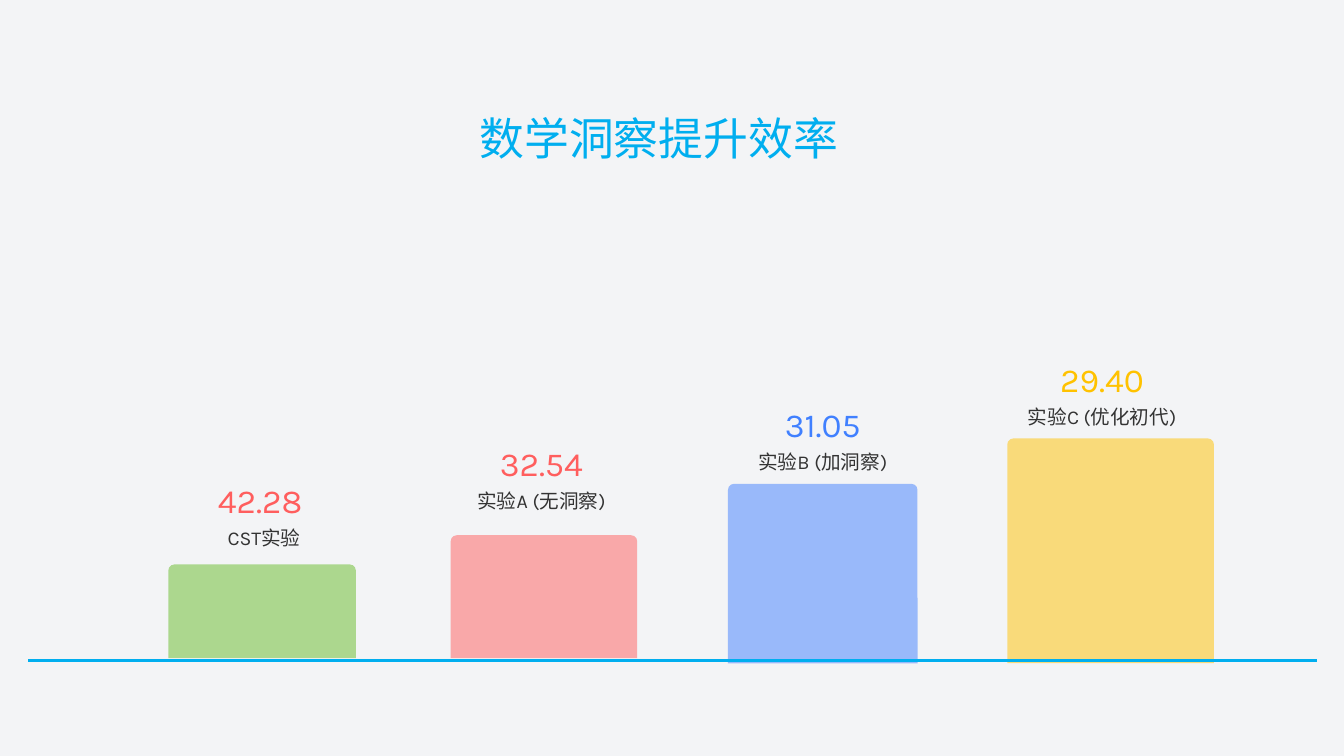
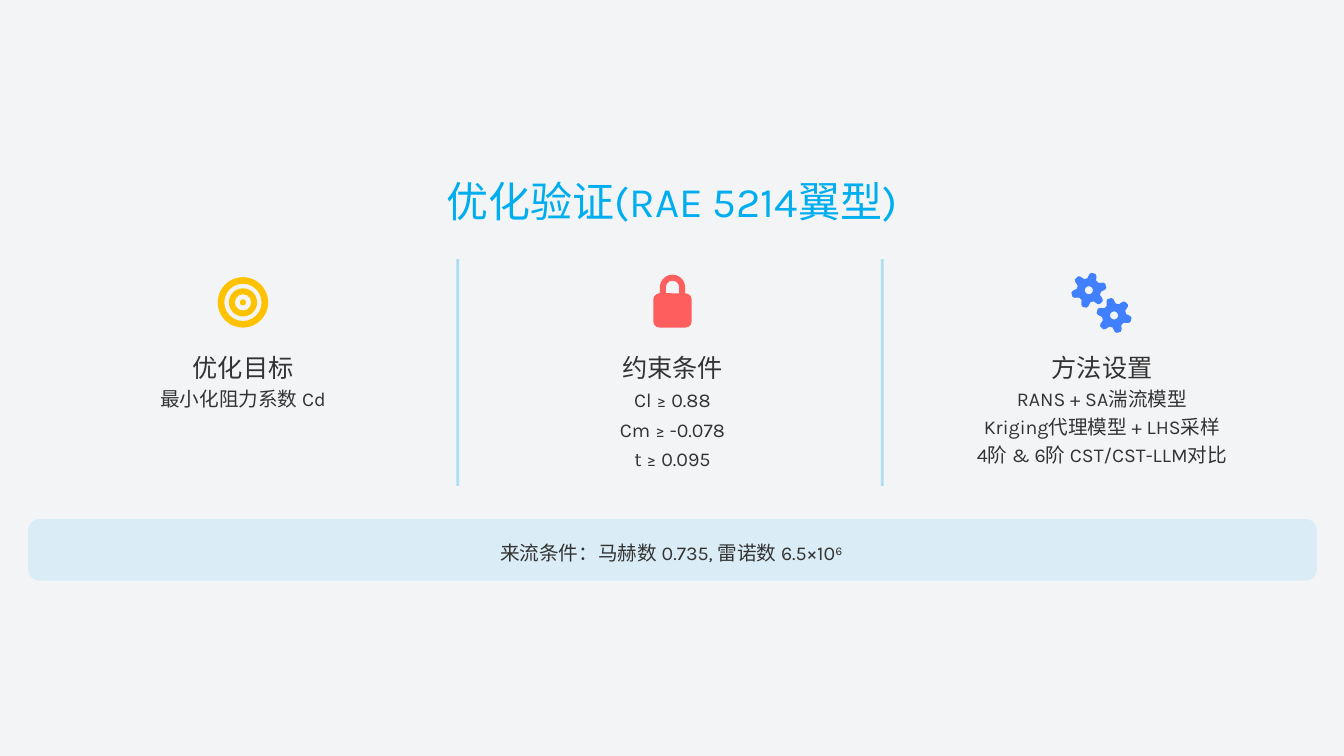
from dataclasses import dataclass
from math import cos, radians, sin
from typing import Callable, NamedTuple

from lxml import etree
from pptx import Presentation
from pptx import util as u
from pptx.dml.color import RGBColor
from pptx.enum import shapes, text
from pptx.oxml import ns

# Shared style: 100 px to the inch
EMU_PER_PX = 9144
SLIDE_WIDTH, SLIDE_HEIGHT = 1333, 750
FONT = "Karla"
BACKGROUND = RGBColor(0xF3, 0xF4, 0xF6)
ACCENT = RGBColor(0x00, 0xAE, 0xEF)
INK = RGBColor(0x33, 0x33, 0x33)
RED = RGBColor(0xFF, 0x5E, 0x5E)
BLUE = RGBColor(0x40, 0x80, 0xFF)
YELLOW = RGBColor(0xFF, 0xC2, 0x00)
GREEN = RGBColor(0xAC, 0xD7, 0x8E)
EDGE_LEFT, EDGE_RIGHT = 28, 1306
Shape = shapes.MSO_SHAPE
Anchor = text.MSO_ANCHOR
Points = list[tuple[float, float]]


class Box(NamedTuple):
    left: int
    top: int
    width: int
    height: int


@dataclass(frozen=True)
class Bar:
    value: str
    label: str
    color: RGBColor
    value_color: RGBColor
    opacity: int
    box: Box
    center: int
    value_top: int
    label_shift: int = 0


@dataclass(frozen=True)
class Column:
    center: int
    heading: str
    lines: list[str]
    draw_icon: Callable
    body_top: int = 379
    spacing: float = 1.2


def px(length: float) -> u.Emu:
    return u.Emu(round(length * EMU_PER_PX))


def set_opacity(shape, percent: int) -> None:
    if percent < 100:
        color = next(shape.element.spPr.iter(ns.qn("a:srgbClr")))
        etree.SubElement(color, ns.qn("a:alpha"), val=str(percent * 1000))


def paint(shape, color: RGBColor, opacity: int = 100) -> None:
    shape.shadow.inherit = False
    shape.fill.solid()
    shape.fill.fore_color.rgb = color
    shape.line.fill.background()
    set_opacity(shape, opacity)


def add_shape(slide, kind, box: Box, color: RGBColor, opacity: int = 100,
              adjustment: float | None = None) -> None:
    shape = slide.shapes.add_shape(kind, *map(px, box))
    if adjustment is not None:
        shape.adjustments[0] = adjustment
    paint(shape, color, opacity)


def add_outline(slide, contours: list[Points], color: RGBColor) -> None:
    """Draw closed contours as one shape; inner contours become holes."""
    scaled = [[(px(x), px(y)) for x, y in contour] for contour in contours]
    builder = slide.shapes.build_freeform(*scaled[0][0], scale=1.0)
    builder.add_line_segments(scaled[0][1:], close=True)
    for contour in scaled[1:]:
        builder.move_to(*contour[0])
        builder.add_line_segments(contour[1:], close=True)
    paint(builder.convert_to_shape(), color)


def add_line(slide, start: tuple[int, int], end: tuple[int, int],
             opacity: int = 100) -> None:
    line = slide.shapes.add_connector(
        shapes.MSO_CONNECTOR.STRAIGHT, *map(px, start + end))
    line.line.color.rgb = ACCENT
    line.line.width = u.Pt(2)
    etree.SubElement(line.element.spPr, ns.qn("a:effectLst"))
    set_opacity(line, opacity)


def add_text(slide, box: Box, *lines: str, size: int = 14,
             color: RGBColor = INK, spacing: float = 1.2,
             anchor=Anchor.MIDDLE) -> None:
    frame = slide.shapes.add_textbox(*map(px, box)).text_frame
    frame.word_wrap = True
    frame.vertical_anchor = anchor
    frame.margin_left = frame.margin_right = 0
    frame.margin_top = frame.margin_bottom = 0
    for index, line in enumerate(lines):
        paragraph = frame.add_paragraph() if index else frame.paragraphs[0]
        paragraph.alignment = text.PP_ALIGN.CENTER
        paragraph.line_spacing = spacing
        run = paragraph.add_run()
        run.text = line
        run.font.name = FONT
        run.font.size = u.Pt(size)
        run.font.color.rgb = color


def add_title(slide, box: Box, title: str, size: int,
              anchor=Anchor.MIDDLE) -> None:
    add_text(slide, box, title, size=size, color=ACCENT, spacing=1.0,
             anchor=anchor)


def polar(x: float, y: float, radius: float, angle: float) -> tuple[float, float]:
    turn = radians(angle)
    return x + radius * cos(turn), y + radius * sin(turn)


def arc(x: float, y: float, radius: float, start: int, end: int,
        step: int) -> Points:
    return [polar(x, y, radius, angle) for angle in range(start, end, step)]


# Icons
def draw_target(slide) -> None:
    x, y = 241, 300
    for radius, thickness in ((25, 0.13), (14, 0.21)):
        ring = Box(x - radius, y - radius, 2 * radius, 2 * radius)
        add_shape(slide, Shape.DONUT, ring, YELLOW, adjustment=thickness)
    add_shape(slide, Shape.OVAL, Box(x - 3, y - 3, 6, 6), YELLOW)


def draw_lock(slide) -> None:
    x, y, base = 667, 285, 293
    outer, inner = 12.5, 6.5
    shackle = [(x - outer, base), *arc(x, y, outer, 180, 361, 10),
               (x + outer, base), (x + inner, base),
               *arc(x, y, inner, 360, 179, -10), (x - inner, base)]
    add_outline(slide, [shackle], RED)
    add_shape(slide, Shape.ROUNDED_RECTANGLE, Box(x - 19, 291, 38, 34), RED,
              adjustment=0.18)


def draw_gears(slide) -> None:
    tooth = ((-22, 12), (-13, 16), (-7, 17.5), (7, 17.5), (13, 16), (22, 12))
    for x, y, rotation in ((1080, 288, 45), (1105, 313, 15)):
        rim = [polar(x, y, radius, rotation + turn + offset)
               for turn in range(0, 360, 60) for offset, radius in tooth]
        add_outline(slide, [rim, arc(x, y, 4, 360, 0, -15)], BLUE)


# Slide content
BARS = [
    Bar("42.28", "CST实验", GREEN, RED, 100, Box(167, 560, 186, 93),
        258, 472, 4),
    Bar("32.54", "实验A (无洞察)", RED, RED, 50, Box(447, 531, 185, 122),
        537, 435),
    Bar("31.05", "实验B (加洞察)", BLUE, BLUE, 50, Box(722, 480, 188, 178),
        816, 397),
    Bar("29.40", "实验C (优化初代)", YELLOW, YELLOW, 50,
        Box(999, 435, 205, 223), 1093, 352),
]
COLUMNS = [
    Column(241, "优化目标", ["最小化阻力系数 Cd"], draw_target),
    Column(667, "约束条件", ["Cl ≥ 0.88", "Cm ≥ -0.078", "t ≥ 0.095"],
           draw_lock, body_top=381, spacing=1.25),
    Column(1093, "方法设置",
           ["RANS + SA湍流模型", "Kriging代理模型 + LHS采样",
            "4阶 & 6阶 CST/CST-LLM对比"], draw_gears),
]


def build_efficiency(slide) -> None:
    text_width = 226
    for bar in BARS:
        add_shape(slide, Shape.ROUND_2_SAME_RECTANGLE, bar.box, bar.color,
                  bar.opacity, 6 / min(bar.box.width, bar.box.height))
        left = bar.center - text_width // 2
        add_text(slide, Box(left, bar.value_top, text_width, 44), bar.value,
                 size=24, color=bar.value_color, spacing=1.1)
        add_text(slide, Box(left + bar.label_shift, bar.value_top + 45,
                            text_width, 28), bar.label)
    add_line(slide, (EDGE_LEFT, 655), (EDGE_RIGHT, 655))
    add_title(slide, Box(282, 110, 743, 54), "数学洞察提升效率", 32, Anchor.TOP)


def build_validation(slide) -> None:
    add_title(slide, Box(0, 174, SLIDE_WIDTH, 50), "优化验证(RAE 5214翼型)", 30)
    for column in COLUMNS:
        column.draw_icon(slide)
        add_text(slide, Box(column.center - 224, 340, 448, 39),
                 column.heading, size=18, spacing=1.3)
        add_text(slide, Box(column.center - 196, column.body_top, 392,
                            28 * len(column.lines)),
                 *column.lines, spacing=column.spacing)
    for x in (454, 875):
        add_line(slide, (x, 257), (x, 482), opacity=30)

    # Flow conditions
    add_shape(slide, Shape.ROUNDED_RECTANGLE,
              Box(EDGE_LEFT, 515, EDGE_RIGHT - EDGE_LEFT, 61), ACCENT, 10, 0.18)
    add_text(slide, Box(44, 532, 1244, 28),
             "来流条件：马赫数 0.735, 雷诺数 6.5×10⁶")


def main() -> None:
    presentation = Presentation()
    presentation.slide_width = px(SLIDE_WIDTH)
    presentation.slide_height = px(SLIDE_HEIGHT)
    background = presentation.slide_master.background.fill
    background.solid()
    background.fore_color.rgb = BACKGROUND
    blank = presentation.slide_layouts[6]
    for build in (build_efficiency, build_validation):
        build(presentation.slides.add_slide(blank))
    presentation.save("out.pptx")


if __name__ == "__main__":
    main()
